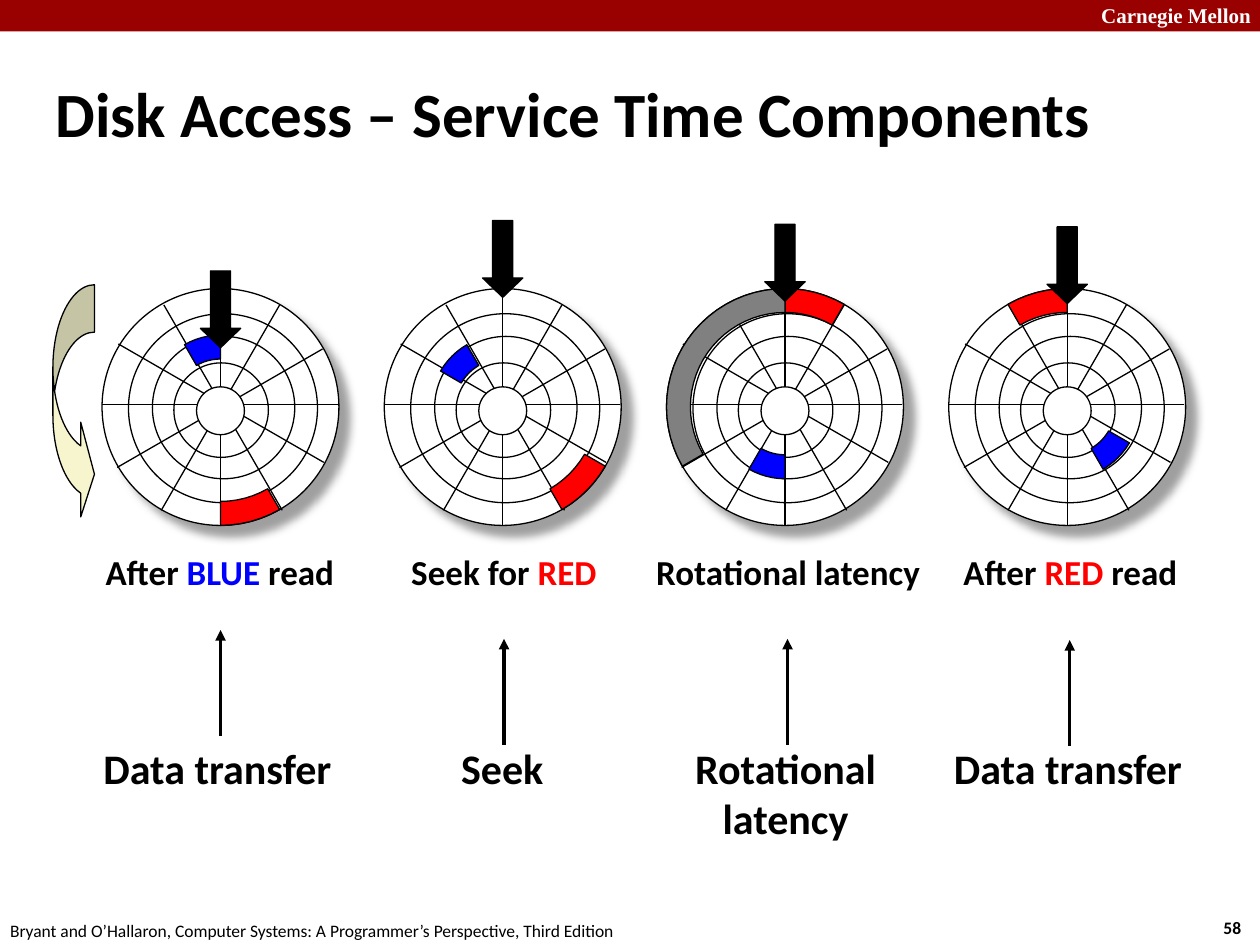
"""Build a slide on the service time components of a disk access."""
import math

import lxml.etree
import pptx
import pptx.dml.color
import pptx.enum.shapes
import pptx.enum.text
import pptx.oxml
import pptx.oxml.ns
import pptx.util

Inches = pptx.util.Inches
Pt = pptx.util.Pt
RGBColor = pptx.dml.color.RGBColor
Shape = pptx.enum.shapes.MSO_SHAPE
Align = pptx.enum.text.PP_ALIGN

BLACK = RGBColor(0x00, 0x00, 0x00)
WHITE = RGBColor(0xFF, 0xFF, 0xFF)
CRIMSON = RGBColor(0x99, 0x00, 0x00)
BLUE = RGBColor(0x00, 0x00, 0xFF)
RED = RGBColor(0xFF, 0x00, 0x00)
GRAY = RGBColor(0x80, 0x80, 0x80)
CREAM = RGBColor(0xF7, 0xF5, 0xCD)

SHADOW = (
    '<a:outerShdw xmlns:a="http://schemas.openxmlformats.org/drawingml/2006/main" '
    'blurRad="63500" dist="107950" dir="2700000" algn="ctr" rotWithShape="0">'
    '<a:srgbClr val="808080"><a:alpha val="75000"/></a:srgbClr></a:outerShdw>'
)

deck = pptx.Presentation()
deck.slide_width = Inches(10)
deck.slide_height = Inches(7.5)
page = deck.slides.add_slide(deck.slide_layouts[5])


def add_text(text, at, size, font="Calibri", bold=True, color=BLACK,
             align=Align.LEFT, wrap=True, box=None, anchor=pptx.enum.text.MSO_ANCHOR.TOP,
             highlights=()):
    """Write text into a box, one paragraph a line, with highlighted words in colour."""
    left, top, width, height = map(Inches, at)
    box = box or page.shapes.add_textbox(left, top, width, height)
    box.left, box.top, box.width, box.height = left, top, width, height
    frame = box.text_frame
    frame.word_wrap = wrap
    frame.auto_size = pptx.enum.text.MSO_AUTO_SIZE.NONE
    frame.vertical_anchor = anchor
    frame.margin_left = frame.margin_right = Inches(0.05)
    frame.margin_top = frame.margin_bottom = Inches(0.05)
    for index, line in enumerate(text.split("\n")):
        para = frame.add_paragraph() if index else frame.paragraphs[0]
        para.alignment = align
        for piece in line.split("|"):
            span = para.add_run()
            span.text = piece
            span.font.name = font
            span.font.size = Pt(size)
            span.font.bold = bold
            span.font.color.rgb = dict(highlights).get(piece.strip(), color)
    return box


def draw_line(shapes, start, end, width):
    """Draw a plain black line."""
    line = shapes.add_connector(pptx.enum.shapes.MSO_CONNECTOR.STRAIGHT,
                                *map(Inches, start + end))
    line.line.color.rgb = BLACK
    line.line.width = Pt(width)
    properties = line.element.spPr
    lxml.etree.SubElement(properties, pptx.oxml.ns.qn("a:effectLst"))
    return line


painted = []

band = page.shapes.add_shape(Shape.RECTANGLE, 0, 0, Inches(10), Inches(0.25))
band.fill.solid()
band.fill.fore_color.rgb = CRIMSON
band.line.fill.background()
band.shadow.inherit = False

add_text("Carnegie Mellon", (8.69, -0.03, 1.33, 0.3), 12,
         font="Times New Roman", color=WHITE)
add_text("Bryant and O’Hallaron, Computer Systems: A Programmer’s Perspective, Third Edition",
         (0.03, 7.25, 4.92, 0.25), 10, bold=False, wrap=False)
add_text("58", (9.66, 7.23, 0.25, 0.25), 10, wrap=False)
title = add_text("Disk Access – Service Time Components", (0.39, 0.48, 8.85, 0.83), 36,
                 box=page.shapes.title, anchor=pptx.enum.text.MSO_ANCHOR.MIDDLE)
title_format = title.text_frame.paragraphs[0]._p.get_or_add_pPr()
title_format.set("marL", str(Inches(0.13)))
title_format.set("indent", str(Inches(-0.13)))

DISK_TOP = 2.29
RADIUS = 0.94
RINGS = [(0, 0, 1.88), (0.21, 0.2, 1.5), (0.4, 0.38, 1.13), (0.57, 0.59, 0.75)]
HUB = (0.75, 0.78, 0.38)
SPOKES = [
    ((0.94, 0), (0.94, 1.88)), ((1.41, 0.13), (0.47, 1.76)),
    ((1.75, 0.48), (0.12, 1.42)), ((1.87, 0.92), (0, 0.92)),
    ((1.76, 1.38), (0.13, 0.44)), ((1.43, 1.76), (0.49, 0.13)),
]
OUTER_TRACK = (0.75, 0.94)
INNER_TRACK = (0.38, 0.57)
DISKS = [
    (2.15, [(BLUE, INNER_TRACK, -30, 0), (RED, OUTER_TRACK, 150, 180)]),
    (1.75, [(RED, OUTER_TRACK, 120, 150), (BLUE, INNER_TRACK, -60, -30)]),
    (1.78, [(RED, OUTER_TRACK, 0, 30), (BLUE, INNER_TRACK, 180, 210),
            (GRAY, OUTER_TRACK, 240, 360)]),
    (1.8, [(RED, OUTER_TRACK, -30, 0), (BLUE, INNER_TRACK, 120, 150)]),
]

for number, (head_top, sectors) in enumerate(DISKS):
    disk_left = 0.81 + 2.24 * number
    center_x, center_y = disk_left + RADIUS, DISK_TOP + RADIUS
    disk = page.shapes.add_group_shape().shapes
    circles = []
    for x, y, size in RINGS + [HUB]:
        if (x, y, size) == HUB:
            for start, end in SPOKES:
                draw_line(disk, (disk_left + start[0], DISK_TOP + start[1]),
                          (disk_left + end[0], DISK_TOP + end[1]), 0.75)
        circles.append(disk.add_shape(Shape.OVAL, Inches(disk_left + x), Inches(DISK_TOP + y),
                                      Inches(size), Inches(size)))
    painted += [(circle, WHITE) for circle in circles]
    circles[0].shadow.inherit = False
    effects = circles[0].element.spPr.find(pptx.oxml.ns.qn("a:effectLst"))
    effects.append(pptx.oxml.parse_xml(SHADOW))

    for color, (inner, outer), first, last in sectors:
        angles = [math.radians(angle) for angle in range(first, last + 1, 5)]
        arc = [(inner, angle) for angle in angles] + [(outer, angle) for angle in angles[::-1]]
        points = [(Inches(center_x + radius * math.sin(angle)),
                   Inches(center_y - radius * math.cos(angle))) for radius, angle in arc]
        outline = disk.build_freeform(*points[0])
        outline.add_line_segments(points[1:], close=True)
        painted.append((outline.convert_to_shape(), color))

    head = disk.add_shape(Shape.DOWN_ARROW, Inches(center_x - 0.16), Inches(head_top),
                          Inches(0.32), Inches(0.61))
    head.adjustments[0] = 0.5
    head.adjustments[1] = 0.48
    painted.append((head, BLACK))

rotation = page.shapes.add_shape(Shape.CURVED_RIGHT_ARROW, Inches(0.42), Inches(2.26),
                                 Inches(0.33), Inches(1.88))
for index, value in enumerate((1.14, 2.28, 0.33)):
    rotation.adjustments[index] = value
painted.append((rotation, CREAM))

for shape, color in painted:
    shape.fill.solid()
    shape.fill.fore_color.rgb = color
    shape.line.color.rgb = BLACK
    shape.line.width = Pt(0.75)
    if shape.element.spPr.find(pptx.oxml.ns.qn("a:effectLst")) is None:
        shape.shadow.inherit = False

CAPTIONS = [
    ("After |BLUE |read", 0.63, 2.23), ("Seek for |RED", 3.05, 1.9),
    ("Rotational latency", 4.97, 2.57), ("After |RED| read", 7.38, 2.23),
]
for text, left, width in CAPTIONS:
    add_text(text, (left, 4.32, width, 0.37), 20, align=Align.CENTER,
             highlights={"BLUE": BLUE, "RED": RED})

COMPONENTS = [
    ("Data transfer", (0.77, 5.84, 1.92, 0.43), 1.75, 5),
    ("Seek", (3.61, 5.84, 0.77, 0.43), 4, 5.07),
    ("Rotational\nlatency", (5.38, 5.84, 1.71, 0.83), 6.25, 5.07),
    ("Data transfer", (7.52, 5.84, 1.92, 0.43), 8.49, 5.08),
]
for text, at, x, tip in COMPONENTS:
    several = "\n" in text
    add_text(text, at, 24, wrap=several, align=Align.CENTER if several else Align.LEFT)
    pointer = draw_line(page.shapes, (x, tip + 0.84), (x, tip), 2)
    lxml.etree.SubElement(pointer.line._get_or_add_ln(), pptx.oxml.ns.qn("a:tailEnd"),
                          type="triangle")

deck.save("out.pptx")
